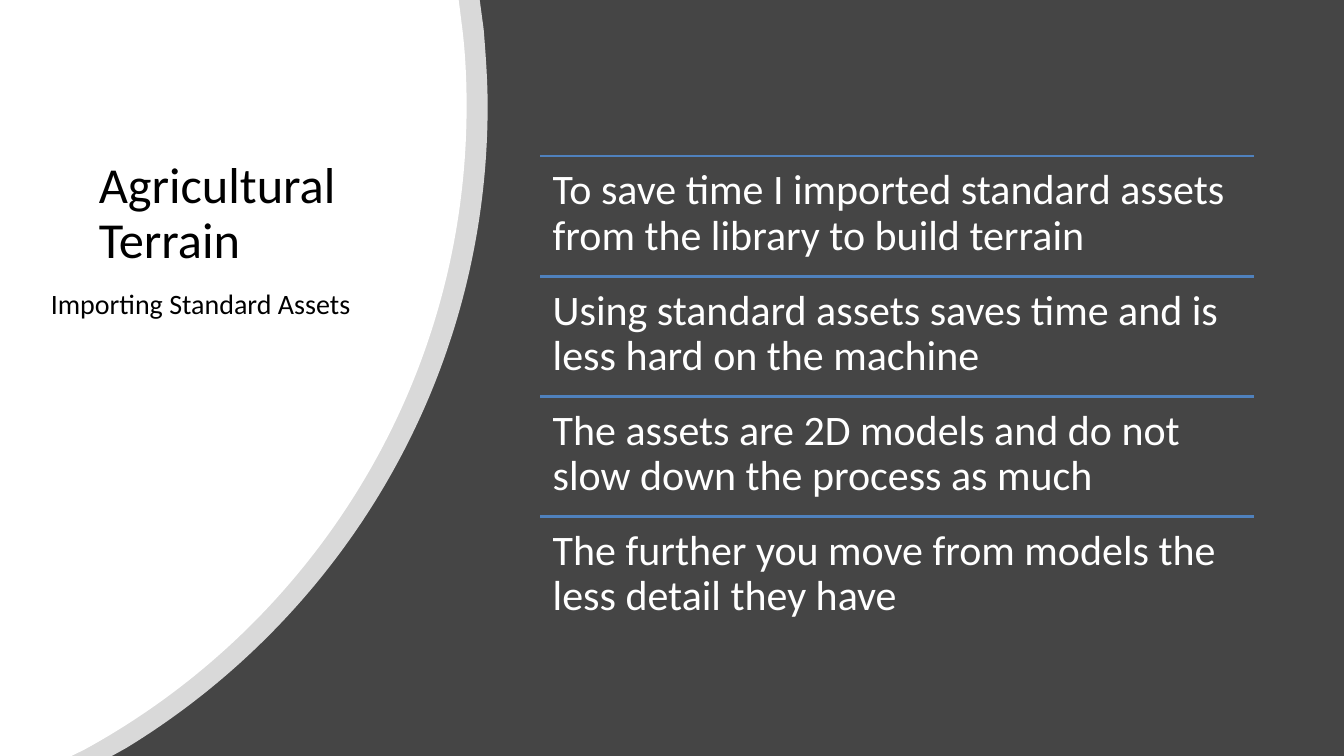
import dataclasses
import lxml.etree
import pptx
import pptx.dml.color
import pptx.enum.shapes
import pptx.enum.text
import pptx.oxml.ns
import pptx.util

Cm = pptx.util.Cm
qn = pptx.oxml.ns.qn
HUES = {"back": "454545", "white": "FFFFFF", "black": "000000", "rule": "4F81BD"}


@dataclasses.dataclass
class Text:
    words: str
    left: float
    top: float
    width: float
    height: float
    size: int
    hue: str
    side: float = 0.25
    edge: float = 0.13


@dataclasses.dataclass
class Curve:
    top: float
    start: tuple
    bends: list
    foot: float
    alpha: int


CURVES = [
    Curve(12.09, (12.19, 0.74),
          [((12.24, 1.37), (12.29, 2.03), (12.29, 2.67)),
           ((12.29, 9.53), (8.64, 15.52), (3.18, 18.85))], 2.82, 80),
    Curve(11.56, (11.66, 0.79),
          [((11.73, 1.4), (11.76, 2.03), (11.76, 2.67)),
           ((11.76, 9.68), (7.85, 15.77), (2.11, 18.9))], 1.8, 100),
]
HEADS = [
    Text("Agricultural Terrain", 2.24, 3.91, 7.98, 5.92, 36, "black"),
    Text("Importing Standard Assets", 1.03, 7.19, 8.13, 12.12, 20, "black"),
]
POINTS = [
    "To save time I imported standard assets from the library to build terrain",
    "Using standard assets saves time and is less hard on the machine",
    "The assets are 2D models and do not slow down the process as much",
    "The further you move from models the less detail they have",
]
LEFT, TOP, WIDTH, ROW = 13.61, 3.93, 18.0, 3.03


def tint(hue: str) -> pptx.dml.color.RGBColor:
    return pptx.dml.color.RGBColor.from_string(HUES[hue])


def apply(thing, values: dict) -> None:
    for name, value in values.items():
        setattr(thing, name, value)


def round_off(shape, bends: list) -> None:
    lines = list(shape._element.spPr.iter(qn("a:lnTo")))
    for line, bend in zip(lines[2:], bends):
        arc = lxml.etree.Element(qn("a:cubicBezTo"))
        for x, y in bend:
            lxml.etree.SubElement(arc, qn("a:pt"), x=str(int(Cm(x))), y=str(int(Cm(y))))
        line.getparent().replace(line, arc)


def draw_curve(shapes, curve: Curve) -> None:
    ends = [bend[-1] for bend in curve.bends]
    dots = [(curve.top, 0), curve.start, *ends, (curve.foot, 19.05), (0, 19.05)]
    pen = shapes.build_freeform(0, 0)
    pen.add_line_segments([(Cm(x), Cm(y)) for x, y in dots], close=True)
    shape = pen.convert_to_shape()
    round_off(shape, curve.bends)
    shape.shadow.inherit = False
    shape.line.fill.background()
    shape.fill.solid()
    shape.fill.fore_color.rgb = tint("white")
    if curve.alpha < 100:
        node = next(shape._element.spPr.iter(qn("a:srgbClr")))
        lxml.etree.SubElement(node, qn("a:alpha"), val=str(curve.alpha * 1000))


def draw_text(shapes, item: Text) -> None:
    box = shapes.add_textbox(Cm(item.left), Cm(item.top), Cm(item.width), Cm(item.height))
    apply(box.text_frame, {
        "word_wrap": True,
        "vertical_anchor": pptx.enum.text.MSO_ANCHOR.TOP,
        "margin_left": Cm(item.side),
        "margin_right": Cm(item.side),
        "margin_top": Cm(item.edge),
        "margin_bottom": Cm(item.edge),
    })
    para = box.text_frame.paragraphs[0]
    para.line_spacing = 0.9
    run = para.add_run()
    run.text = item.words
    apply(run.font, {"name": "Calibri", "size": pptx.util.Pt(item.size)})
    run.font.color.rgb = tint(item.hue)


def draw_rule(shapes, top: float) -> None:
    rule = shapes.add_connector(
        pptx.enum.shapes.MSO_CONNECTOR.STRAIGHT,
        Cm(LEFT), Cm(top), Cm(LEFT + WIDTH), Cm(top))
    rule.line.width = pptx.util.Pt(2)
    rule.line.color.rgb = tint("rule")
    lxml.etree.SubElement(rule._element.spPr, qn("a:effectLst"))


def main() -> None:
    deck = pptx.Presentation()
    apply(deck, {"slide_width": Cm(33.87), "slide_height": Cm(19.05)})
    slide = deck.slides.add_slide(deck.slide_layouts[6])
    slide.background.fill.solid()
    slide.background.fill.fore_color.rgb = tint("back")
    for curve in CURVES:
        draw_curve(slide.shapes, curve)
    for head in HEADS:
        draw_text(slide.shapes, head)
    group = slide.shapes.add_group_shape()
    for row, words in enumerate(POINTS):
        top = TOP + row * ROW
        draw_rule(group.shapes, top)
        draw_text(group.shapes, Text(words, LEFT, top, WIDTH, ROW, 30, "white", 0.32, 0.32))
    deck.save("out.pptx")


if __name__ == "__main__":
    main()
